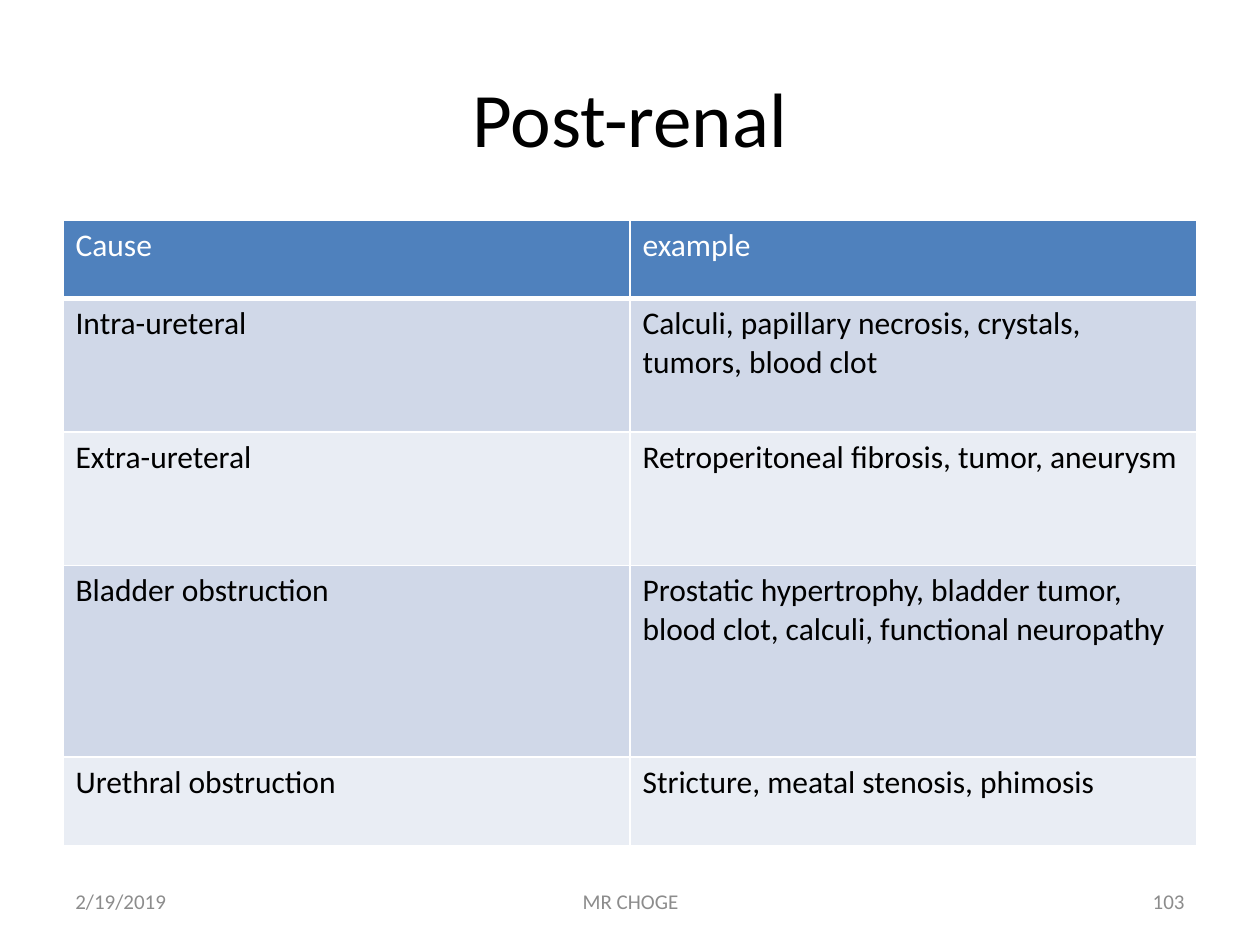
import pptx
import pptx.dml.color
import pptx.enum.text
import pptx.oxml.ns
import pptx.util
from lxml import etree

Inches = pptx.util.Inches
RGBColor = pptx.dml.color.RGBColor
ALIGN = pptx.enum.text.PP_ALIGN
ANCHOR = pptx.enum.text.MSO_ANCHOR

FONT = "Calibri"
BLACK = RGBColor(0x00, 0x00, 0x00)
WHITE = RGBColor(0xFF, 0xFF, 0xFF)
GRAY = RGBColor(0x8C, 0x8C, 0x8C)
HEADER_BLUE = RGBColor(0x4F, 0x81, 0xBD)
BANDS = (RGBColor(0xD0, 0xD8, 0xE8), RGBColor(0xE9, 0xED, 0xF4))

MARGIN = 0.5
CONTENT_WIDTH = 9
ROW_HEIGHTS = (0.62, 1.06, 1.06, 1.52, 0.7)
ROWS = (
    ("Cause", "example"),
    ("Intra-ureteral", "Calculi, papillary necrosis, crystals, tumors, blood clot"),
    ("Extra-ureteral", "Retroperitoneal fibrosis, tumor, aneurysm"),
    ("Bladder obstruction",
     "Prostatic hypertrophy, bladder tumor, blood clot, calculi, functional neuropathy"),
    ("Urethral obstruction", "Stricture, meatal stenosis, phimosis"),
)
FOOTER = (
    ("2/19/2019", 0.5, 2.33, ALIGN.LEFT),
    ("MR CHOGE", 3.42, 3.17, ALIGN.CENTER),
    ("103", 7.17, 2.33, ALIGN.RIGHT),
)


def write_text(frame, text, size=18, color=BLACK, align=ALIGN.LEFT):
    para = frame.paragraphs[0]
    para.alignment = align
    span = para.add_run()
    span.text = text
    span.font.name = FONT
    span.font.size = pptx.util.Pt(size)
    span.font.color.rgb = color


def add_text(page, text, left, top, width, height, **text_format):
    """Add a wrapped, vertically centred text box."""
    box = page.shapes.add_textbox(
        Inches(left), Inches(top), Inches(width), Inches(height))
    frame = box.text_frame
    frame.word_wrap = True
    frame.vertical_anchor = ANCHOR.MIDDLE
    write_text(frame, text, **text_format)


def set_borders(cell, color, bottom=1):
    """Line all four sides at 1 pt, or the bottom at its own width."""
    properties = cell._tc.get_or_add_tcPr()
    for side, points in (("L", 1), ("R", 1), ("T", 1), ("B", bottom)):
        line = etree.SubElement(properties, pptx.oxml.ns.qn(f"a:ln{side}"),
                                w=str(pptx.util.Pt(points)))
        fill = etree.SubElement(line, pptx.oxml.ns.qn("a:solidFill"))
        etree.SubElement(fill, pptx.oxml.ns.qn("a:srgbClr"), val=str(color))


def fill_cell(cell, text, fill, color=BLACK, bottom=1):
    # Borders come before the fill in the cell's properties.
    set_borders(cell, WHITE, bottom)
    cell.fill.solid()
    cell.fill.fore_color.rgb = fill
    write_text(cell.text_frame, text, color=color)


def add_cause_table(page):
    columns = len(ROWS[0])
    table = page.shapes.add_table(
        len(ROWS), columns, Inches(MARGIN), Inches(1.75),
        Inches(CONTENT_WIDTH), Inches(sum(ROW_HEIGHTS))).table
    table.first_row = False
    table.horz_banding = False
    for column in table.columns:
        column.width = Inches(CONTENT_WIDTH / columns)
    for index, (height, texts) in enumerate(zip(ROW_HEIGHTS, ROWS)):
        table.rows[index].height = Inches(height)
        for cell, text in zip(table.rows[index].cells, texts):
            if index == 0:
                fill_cell(cell, text, HEADER_BLUE, color=WHITE, bottom=3)
            else:
                fill_cell(cell, text, BANDS[(index - 1) % 2])


def main():
    deck = pptx.Presentation()
    deck.slide_width, deck.slide_height = Inches(10), Inches(7.5)
    page = deck.slides.add_slide(deck.slide_layouts[6])
    add_text(page, "Post-renal", MARGIN, 0.3, CONTENT_WIDTH, 1.25,
             size=44, align=ALIGN.CENTER)
    add_cause_table(page)
    for text, left, width, align in FOOTER:
        add_text(page, text, left, 6.95, width, 0.4,
                 size=12, color=GRAY, align=align)
    deck.save("out.pptx")


if __name__ == "__main__":
    main()
